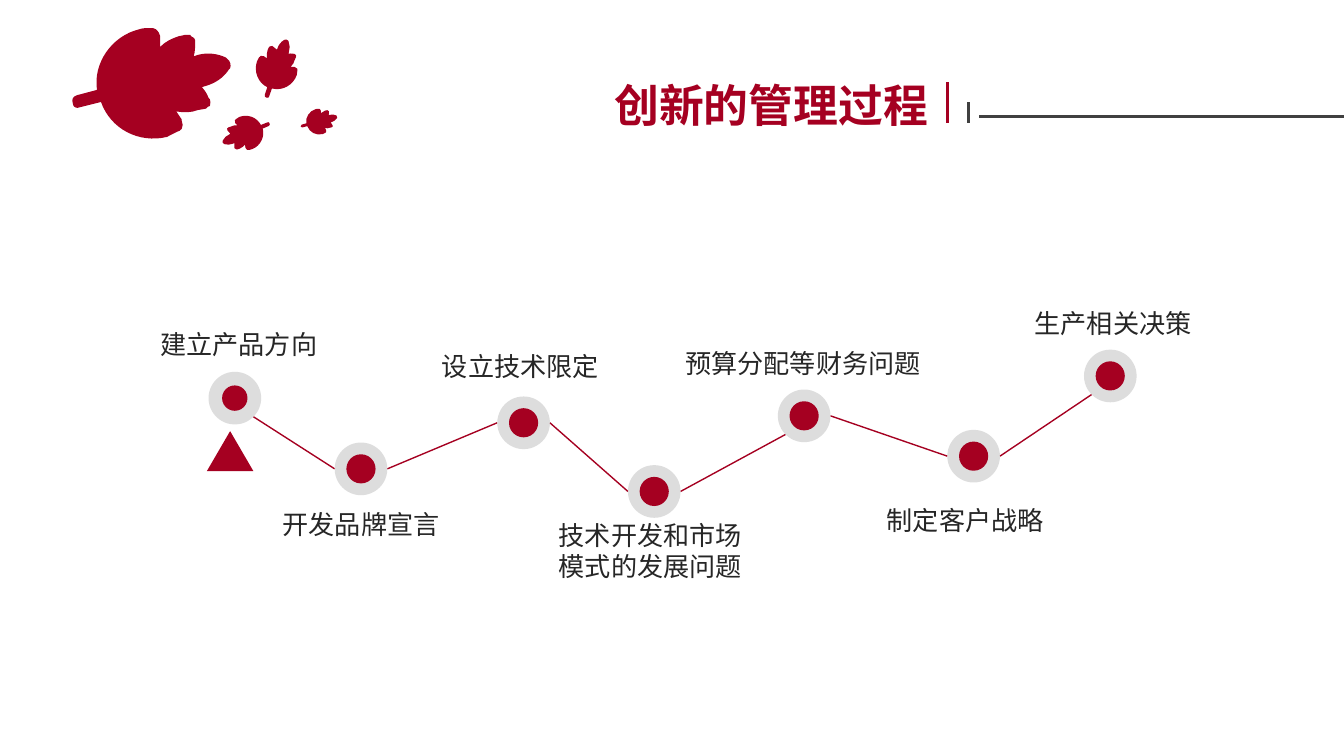
from dataclasses import dataclass
from itertools import pairwise
from math import cos, radians, sin

from lxml.etree import SubElement as Sub
from pptx import Presentation
from pptx.dml.color import RGBColor as Rgb
from pptx.enum.shapes import MSO_CONNECTOR as Link, MSO_SHAPE as Kind
from pptx.enum.text import MSO_ANCHOR as Anchor, PP_ALIGN as Align
from pptx.oxml.ns import qn
from pptx.util import Pt


@dataclass(frozen=True)
class Theme:
    red: Rgb = Rgb(0xA5, 0x00, 0x21)
    gray: Rgb = Rgb(0xCD, 0xCD, 0xCD)
    rule: Rgb = Rgb(0x40, 0x40, 0x40)
    ink: Rgb = Rgb(0x26, 0x26, 0x26)
    font: str = "Noto Sans CJK SC"
    head: int = 24
    label: int = 14
    lead: float = 1.19


THEME = Theme()
RING, DOT = 28.2, 13.6

# Stops: center x, center y, angle where the line enters, angle where it leaves
STOPS = [
    (125.8, 213.3, None, 45),
    (193.4, 251.2, 180, 0),
    (280.5, 226.5, 180, 0),
    (350.5, 263.3, 180, 0),
    (430.8, 222.8, 135, 0),
    (521.6, 244.4, 180, 0),
    (594.8, 201.4, 135, None),
]

# Labels: text, left, top, width, height
LABELS = [
    ("建立产品方向", 78.8, 172.5, 111, 24.5),
    ("开发品牌宣言", 144.3, 269, 108, 24.5),
    ("设立技术限定", 229.7, 184.3, 102.2, 24.5),
    ("技术开发和市场模式的发展问题", 292.3, 274.7, 124.6, 41),
    ("预算分配等财务问题", 360, 182.5, 147.6, 24.5),
    ("制定客户战略", 468, 266.8, 108, 24.5),
    ("生产相关决策", 547.2, 161.4, 108, 24.5),
]

# Leaf outline: a pair is a straight step, six numbers are a Bezier curve
CORE, SPAN = (113, 62), 90
LEAF = [
    (72, 67), (57, 71), (54, 72, 53, 74, 54, 77), (54, 80, 57, 81, 59, 80),
    (75, 76), (82, 96, 103, 107, 124, 102), (126, 101, 128, 100, 130, 99),
    (132, 98), (133, 98, 134, 97, 135, 96), (136, 94, 136, 92, 135, 90),
    (135, 89), (133, 87, 133, 85, 131, 83), (137, 84, 142, 84, 147, 82),
    (149, 82, 151, 81, 153, 81), (154, 80), (154, 80, 155, 79, 156, 79),
    (157, 77, 156, 75, 156, 74), (155, 73), (154, 70, 152, 67, 150, 65),
    (151, 65, 152, 64, 153, 64), (160, 62, 166, 58, 170, 52),
    (170, 52, 170, 51, 171, 51), (172, 49, 171, 45, 169, 44), (168, 43),
    (162, 40, 154, 39, 147, 41), (146, 41, 145, 41, 144, 42),
    (145, 38, 145, 35, 145, 31), (145, 30), (145, 29, 144, 28, 142, 27),
    (142, 26, 141, 26, 140, 26), (139, 26), (136, 26, 135, 27, 133, 27),
    (127, 29, 123, 31, 119, 35), (119, 33, 119, 30, 119, 28), (119, 27),
    (119, 25, 117, 23, 116, 22), (115, 21, 113, 21, 112, 21),
    (111, 21, 111, 21, 110, 21), (108, 21, 106, 21, 103, 22),
    (83, 27, 69, 47, 72, 67),
]

# Leaves: center x, center y, size, turn in degrees
LEAVES = [
    (81.5, 44.6, 64.8, 0),
    (148.3, 36.7, 24.5, -56.3),
    (171, 65.2, 15.1, -0.8),
    (131.8, 71.3, 20.2, 172.1),
]


def write(frame, text, *, size, color, bold=False):
    frame.word_wrap = True
    frame.vertical_anchor = Anchor.TOP
    frame.margin_left = frame.margin_right = Pt(7.2)
    frame.margin_top = frame.margin_bottom = Pt(3.6)
    par = frame.paragraphs[0]
    par.alignment = Align.LEFT
    par.line_spacing = Pt(size * THEME.lead)
    run = par.add_run()
    run.text = text
    font = run.font
    font.size, font.bold, font.name = Pt(size), bold, THEME.font
    font.color.rgb = color
    Sub(run._r.get_or_add_rPr(), qn("a:ea"), typeface=THEME.font)


def place(shape, x, y, w, h):
    shape.left, shape.top, shape.width, shape.height = map(Pt, (x, y, w, h))


def paint(shape, color, edge=0):
    shape.shadow.inherit = False
    shape.fill.solid()
    shape.fill.fore_color.rgb = color
    if edge:
        shape.line.color.rgb = color
        shape.line.width = Pt(edge)
    else:
        shape.line.fill.background()


def line(slide, start, end, color, width):
    link = slide.shapes.add_connector(Link.STRAIGHT, *map(Pt, (*start, *end)))
    link.line.color.rgb = color
    link.line.width = Pt(width)
    Sub(link._element.spPr, qn("a:effectLst"))


def bend(shape):
    """Join the three steps of each curve into one Bezier element."""
    steps = iter(shape._element.findall(".//" + qn("a:lnTo")))
    for part in LEAF[1:]:
        first = next(steps)
        if len(part) == 6:
            first.tag = qn("a:cubicBezTo")
            for _ in range(2):
                step = next(steps)
                first.append(step[0])
                step.getparent().remove(step)


def leaf(slide, x, y, size, turn):
    scale, c, s = size / SPAN, cos(radians(turn)), sin(radians(turn))
    pts = []
    for part in LEAF:
        for px, py in zip(part[::2], part[1::2]):
            dx, dy = (px - CORE[0]) * scale, (py - CORE[1]) * scale
            pts.append((Pt(x + dx * c - dy * s), Pt(y + dx * s + dy * c)))
    pen = slide.shapes.build_freeform(*pts[0])
    pen.add_line_segments(pts[1:])
    shape = pen.convert_to_shape()
    bend(shape)
    paint(shape, THEME.red)


def disc(group, x, y, size, color, edge=0):
    spot = group.shapes.add_shape(
        Kind.OVAL, *map(Pt, (x - size / 2, y - size / 2, size, size)))
    paint(spot, color, edge)
    return spot


def stop(slide, x, y, edge):
    group = slide.shapes.add_group_shape()
    ring = disc(group, x, y, RING, THEME.gray)
    tint = ring._element.spPr.find(".//" + qn("a:srgbClr"))
    Sub(tint, qn("a:alpha"), val="68000")
    disc(group, x, y, DOT, THEME.red, edge)


def rim(x, y, angle):
    turn = radians(angle)
    return x + RING / 2 * cos(turn), y + RING / 2 * sin(turn)


def main():
    deck = Presentation()
    deck.slide_width, deck.slide_height = Pt(720), Pt(405)
    slide = deck.slides.add_slide(deck.slide_layouts[5])

    # Title with its rules
    title = slide.shapes.title
    place(title, 321.9, 38.4, 185, 36)
    write(title.text_frame, "创新的管理过程", size=THEME.head, color=THEME.red, bold=True)
    line(slide, (524.5, 62.4), (720, 62.4), THEME.rule, 1.5)
    line(slide, (518.8, 54.7), (518.8, 65.8), THEME.rule, 1.5)
    line(slide, (507.6, 44), (507.6, 65.8), THEME.red, 1.5)

    # Leaves
    for item in LEAVES:
        leaf(slide, *item)

    # Path of stops
    for (x, y, _, out), (nx, ny, into, _) in pairwise(STOPS):
        line(slide, rim(x, y, out), rim(nx, ny, into), THEME.red, 0.75)
    for i, (x, y, *_) in enumerate(STOPS):
        stop(slide, x, y, 2 if i else 0)

    # Labels
    for text, *box in LABELS:
        label = slide.shapes.add_textbox(*map(Pt, box))
        write(label.text_frame, text, size=THEME.label, color=THEME.ink)

    # Start marker
    mark = slide.shapes.add_shape(Kind.ISOSCELES_TRIANGLE, *map(Pt, (110.8, 231, 25, 21.5)))
    paint(mark, THEME.red)

    deck.save("out.pptx")


if __name__ == "__main__":
    main()
